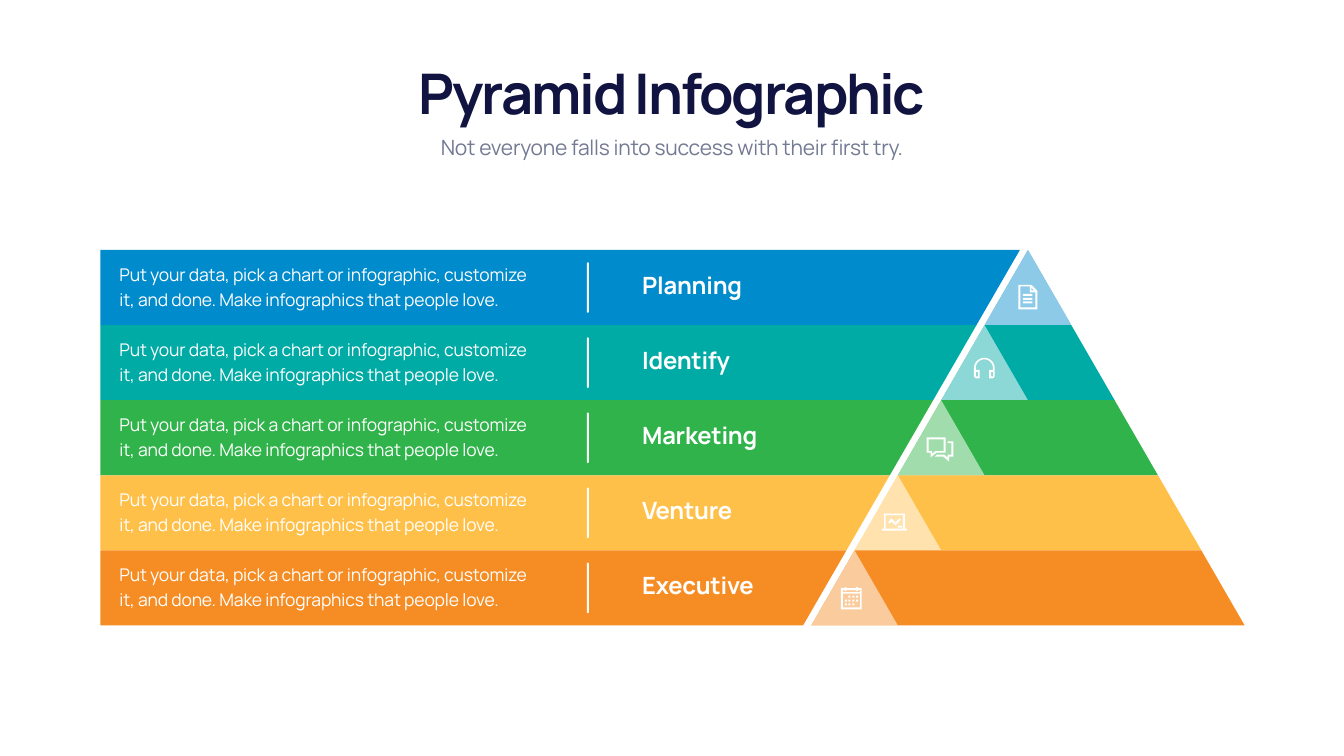
"""Build a five-level pyramid infographic slide."""
from math import cos, pi, sin

from lxml.etree import SubElement
from pptx import Presentation
from pptx.dml.color import RGBColor
from pptx.enum.shapes import MSO_SHAPE as SHAPE
from pptx.enum.text import MSO_ANCHOR as ANCHOR, MSO_AUTO_SIZE as FIT, PP_ALIGN as ALIGN
from pptx.oxml.ns import qn
from pptx.util import Inches, Pt

WIDTH, HEIGHT = 26.66, 15
LEFT, TOP, ROW, STEP = 1.99, 4.96, 1.49, 0.86
APEX, BAND_END = 20.39, 20.23
RULE_X, RULE_WIDTH, RULE_HEIGHT = 11.64, 0.04, 1
WHITE, NAVY, GREY = "FFFFFF", "111340", "747A94"
BLURB = ("Put your data, pick a chart or infographic, customize it, and done. "
         "Make infographics that people love.")

document = [
    [(0, 0), (0, 49), (38, 49), (38, 12), (26, 0)],
    [(4, 3), (23, 3), (23, 15), (34, 15), (34, 45), (4, 45)],
    [(26, 6), (31, 11), (26, 11)],
    *[[(9, y), (28, y + 4)] for y in (18, 26, 33)],
]
turns = [pi * k / 24 for k in range(25)]
headphones = [
    [(20.5 - 20.5 * cos(t), 20 - 20 * sin(t)) for t in turns]
    + [(41, 35), (40, 39), (36, 41), (30, 41), (30, 24), (38, 24)]
    + [(20.5 + 17 * cos(t), 20 - 17 * sin(t)) for t in turns]
    + [(4, 24), (11, 24), (11, 41), (5, 41), (1, 39), (0, 35)],
    [(34, 28), (38, 37)],
    [(4, 28), (8, 37)],
]
chat = [
    [(0, 0), (0, 30), (8, 30), (8, 40), (11, 37), (20, 30), (38, 30), (38, 0)],
    [(4, 4), (34, 4), (34, 27), (18, 27), (11, 32), (11, 27), (4, 27)],
    [(42, 8), (42, 11), (49, 11), (49, 34), (42, 34), (42, 40), (35, 34),
     (21, 34), (16, 38), (33, 38), (45, 48), (45, 38), (53, 38), (53, 8)],
]
laptop = [
    [(4, 0), (4, 30), (0, 30), (0, 34), (49, 34), (49, 30), (45, 30), (45, 0)],
    [(7, 3), (41, 30)],
    [(34, 10), (26, 18), (20, 11), (19, 10), (17, 11), (12, 17),
     (14, 20), (19, 16), (25, 22), (26, 23), (28, 22), (37, 12)],
    [(32, 24), (30, 26), (32, 28), (39, 28), (39, 24)],
]
calendar = [
    [(8, 0), (8, 2), (0, 2), (0, 44), (41, 44), (41, 2),
     (34, 2), (34, 0), (30, 0), (30, 2), (11, 2), (11, 0)],
    [(4, 13), (38, 40)],
    [(4, 6), (8, 6), (8, 8), (11, 8), (11, 6), (30, 6),
     (30, 8), (34, 8), (34, 6), (38, 6), (38, 10), (4, 10)],
    *[[(x, y), (x + 4, y + 4)] for y in (17, 25, 32) for x in (8, 15, 23, 30)
      if (x, y) not in ((8, 17), (30, 32))],
]
levels = [
    ("Planning", "008BCC", document, -0.19, 0.69),
    ("Identify", "00AAA5", headphones, -0.21, 0.65),
    ("Marketing", "30B34A", chat, -0.29, 0.74),
    ("Venture", "FFC04A", laptop, -0.31, 0.76),
    ("Executive", "F68D24", calendar, -0.27, 0.73),
]

prs = Presentation()
prs.slide_width, prs.slide_height = Inches(WIDTH), Inches(HEIGHT)
slide = prs.slides.add_slide(prs.slide_layouts[0])


def paint(fill, colour, opacity=100):
    """Fill with a hex colour at a percentage of opacity."""
    fill.solid()
    fill.fore_color.rgb = RGBColor.from_string(colour)
    if opacity < 100:
        tint = fill._xPr.find(".//" + qn("a:srgbClr"))
        SubElement(tint, qn("a:alpha")).set("val", str(opacity * 1000))


def outline(contours, colour, opacity=100, left=0, top=0, unit=1):
    """Draw closed contours; two points stand for the corners of a box."""
    builder = None
    for contour in contours:
        if len(contour) == 2:
            (x1, y1), (x2, y2) = contour
            contour = [(x1, y1), (x2, y1), (x2, y2), (x1, y2)]
        points = [(Inches(left + x * unit), Inches(top + y * unit)) for x, y in contour]
        if builder is None:
            builder = slide.shapes.build_freeform(*points[0])
        else:
            builder.move_to(*points[0])
        builder.add_line_segments(points[1:], close=True)
    figure = builder.convert_to_shape()
    figure.shadow.inherit = False
    figure.line.fill.background()
    paint(figure.fill, colour, opacity)


title, subtitle = slide.placeholders
texts = [
    (title, "Pyramid Infographic", (8.16, 1.13, 10.34, 1.42), 80, NAVY, True, -3, 94, ALIGN.CENTER),
    (subtitle, "Not everyone falls into success with their first try.",
     (8.56, 2.58, 9.54, 0.6), 30, GREY, False, -0.3, 38.4, ALIGN.CENTER),
]

for row, (label, colour, icon, icon_dx, icon_dy) in enumerate(levels):
    top, bottom = TOP + row * ROW, TOP + (row + 1) * ROW
    near, far = row * STEP, (row + 1) * STEP
    peak = APEX - near
    outline([[(LEFT, top), (BAND_END - near, top), (BAND_END - far, bottom), (LEFT, bottom)]], colour)
    outline([[(peak, top), (APEX + near, top), (APEX + far, bottom), (APEX - far, bottom)]], colour)
    outline([[(peak, top), (peak + STEP, bottom), (peak - STEP, bottom)]], WHITE, 55)
    outline(icon, WHITE, left=peak + icon_dx, top=top + icon_dy, unit=0.01)

    rule = slide.shapes.add_shape(
        SHAPE.ROUNDED_RECTANGLE, Inches(RULE_X), Inches(top + (ROW - RULE_HEIGHT) / 2),
        Inches(RULE_WIDTH), Inches(RULE_HEIGHT))
    rule.adjustments[0] = 0.5
    rule.shadow.inherit = False
    rule.line.fill.background()
    paint(rule.fill, WHITE)

    texts += [
        (None, BLURB, (2.27, top + 0.16, 8.3, 1.04), 25, WHITE, False, -0.2, 35, ALIGN.LEFT),
        (None, label, (12.64, top + 0.36, 3.64, 0.67), 34, WHITE, True, -0.3, None, ALIGN.LEFT),
    ]

for holder, words, place, size, colour, bold, tracking, leading, align in texts:
    place = [Inches(length) for length in place]
    holder = holder or slide.shapes.add_textbox(*place)
    holder.left, holder.top, holder.width, holder.height = place
    frame = holder.text_frame
    frame.text = words
    frame.word_wrap = holder is not title
    frame.auto_size = FIT.SHAPE_TO_FIT_TEXT
    frame.vertical_anchor = ANCHOR.BOTTOM if holder is title else ANCHOR.TOP
    paragraph = frame.paragraphs[0]
    paragraph.alignment = align
    paragraph.space_before = Pt(0)
    if leading:
        paragraph.line_spacing = Pt(leading)
    font = paragraph.runs[0].font
    font.name, font.size, font.bold = "Manrope", Pt(size), bold
    paint(font.fill, colour)
    font._rPr.set("spc", str(round(tracking * 100)))

prs.save("out.pptx")
